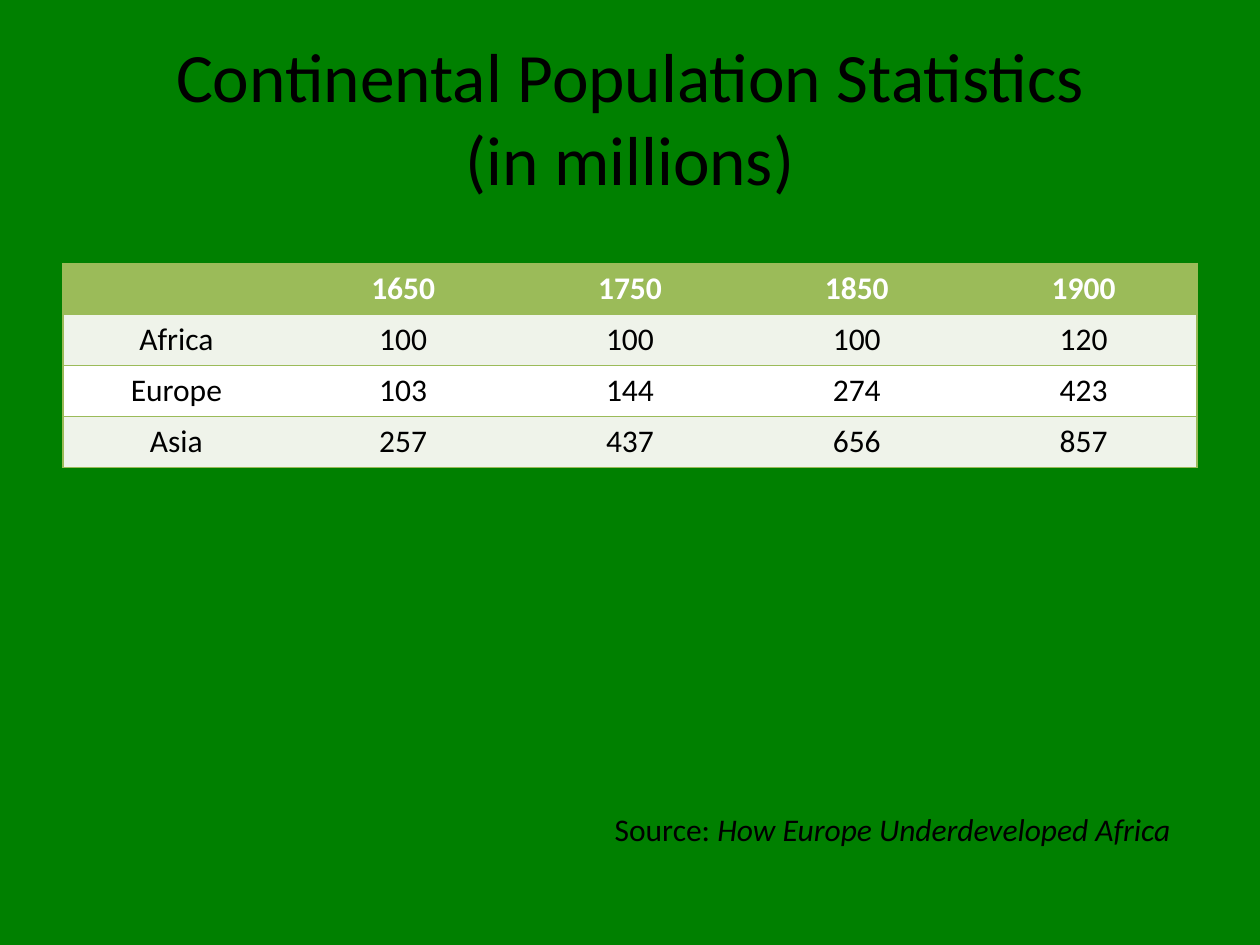
from lxml.etree import SubElement
from pptx import Presentation
from pptx.dml.color import RGBColor
from pptx.enum.text import MSO_ANCHOR, MSO_AUTO_SIZE, PP_ALIGN
from pptx.oxml.ns import qn
from pptx.util import Inches, Pt

COLORS = {"back": "008000", "head": "9BBB59", "band": "EFF3EA",
          "white": "FFFFFF", "text": "000000"}
ROWS = [
    ["", "1650", "1750", "1850", "1900"],
    ["Africa", "100", "100", "100", "120"],
    ["Europe", "103", "144", "274", "423"],
    ["Asia", "257", "437", "656", "857"],
]


def paint(fill, name):
    """Give a fill one solid colour."""
    fill.solid()
    fill.fore_color.rgb = RGBColor.from_string(COLORS[name])


def style(para, size, color="text", bold=False, align=PP_ALIGN.CENTER):
    """Set the font and alignment of a paragraph."""
    para.alignment = align
    font = para.font
    font.name, font.size, font.bold = "Calibri", Pt(size), bold
    font.color.rgb = RGBColor.from_string(COLORS[color])


def place(shape, box):
    """Move a shape to a box of left, top, width, height in inches."""
    shape.left, shape.top, shape.width, shape.height = map(Inches, box)


def edge(cell, sides):
    """Draw the named sides of a cell and clear the others."""
    props = cell._tc.get_or_add_tcPr()
    for side in "LRTB":
        line = SubElement(props, qn(f"a:ln{side}"), w=str(Pt(1)))
        if side in sides:
            fill = SubElement(line, qn("a:solidFill"))
            SubElement(fill, qn("a:srgbClr"), val=COLORS["head"])
        else:
            SubElement(line, qn("a:noFill"))


def add_title(slide, box):
    """Fill the title placeholder."""
    title = slide.shapes.title
    place(title, box)
    frame = title.text_frame
    frame.auto_size = MSO_AUTO_SIZE.NONE
    frame.vertical_anchor = MSO_ANCHOR.MIDDLE
    para = frame.paragraphs[0]
    para.add_run().text = "Continental Population Statistics"
    para.add_line_break()
    para.add_run().text = "(in millions)"
    style(para, 39.6)


def add_stats(slide, box):
    """Add the population table with equal columns and rows."""
    last = len(ROWS[0]) - 1
    table = slide.shapes.add_table(len(ROWS), last + 1, *map(Inches, box)).table
    for r, row in enumerate(ROWS):
        name = "head" if r == 0 else "band" if r % 2 else "white"
        for c, text in enumerate(row):
            cell = table.cell(r, c)
            edge(cell, "TB" + "L" * (c == 0) + "R" * (c == last))
            paint(cell.fill, name)
            cell.text = text
            style(cell.text_frame.paragraphs[0], 18,
                  "text" if r else "white", r == 0)


def add_source(slide, box):
    """Add the source line with its book title in italics."""
    frame = slide.shapes.add_textbox(*map(Inches, box)).text_frame
    frame.word_wrap = False
    frame.auto_size = MSO_AUTO_SIZE.SHAPE_TO_FIT_TEXT
    para = frame.paragraphs[0]
    style(para, 18, align=PP_ALIGN.LEFT)
    para.add_run().text = "Source: "
    book = para.add_run()
    book.text = "How Europe Underdeveloped Africa"
    book.font.italic = True


def main():
    """Build and save the slide."""
    deck = Presentation()
    deck.slide_width, deck.slide_height = Inches(10), Inches(7.5)
    slide = deck.slides.add_slide(deck.slide_layouts[5])
    paint(slide.background.fill, "back")
    add_title(slide, (0.5, 0.3, 9, 1.25))
    add_stats(slide, (0.5, 2.09, 9, 1.62))
    add_source(slide, (4.78, 6.38, 4.72, 0.4))
    deck.save("out.pptx")


if __name__ == "__main__":
    main()
